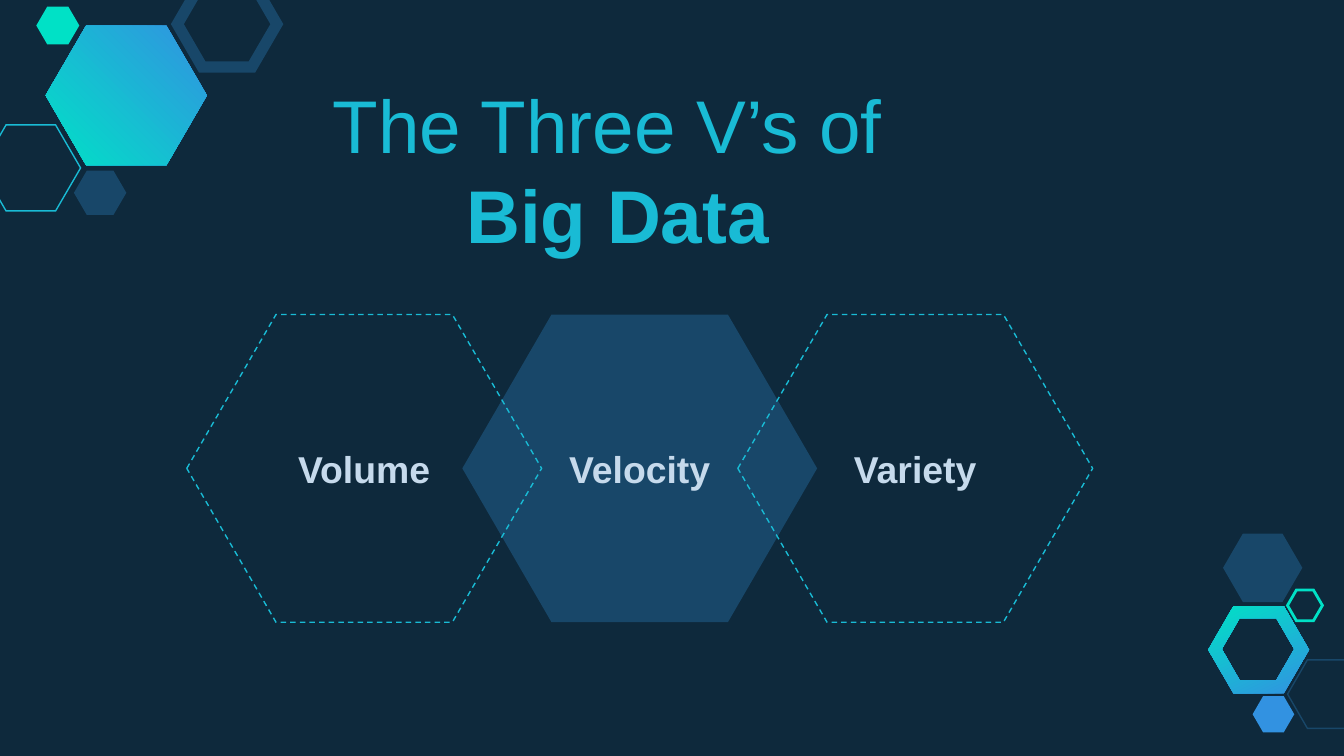
"""Build the slide on the three V's of big data."""
from lxml import etree
from pptx import Presentation
from pptx import util as u
from pptx.dml.color import RGBColor
from pptx.enum import dml, shapes, text
from pptx.oxml import ns

THEME = dict(
    night="0E293C", navy="184769", cyan="19BBD5", mint="00E1C6",
    blue="3292E1", pale="C6DAEC", font="Arial", title_size=40, label_size=20,
)
SLIDE_SIZE = (10, 10 * 9 / 16)
GRADIENT = ("blue", "mint")

TITLE = [("The Three V’s of ", False), ("Big Data", True)]
TITLE_BOX = (1.89, 0.54, 5.41, 1.48)
VS = ["Volume", "Velocity", "Variety"]
FILLED_V = "Velocity"
V_LEFT, V_TOP, V_WIDTH, V_HEIGHT, V_STEP = 1.39, 2.34, 2.64, 2.29, 2.05

RING_BOXES = [(8.99, 4.51, 0.75, 0.65), (9.09, 4.6, 0.54, 0.46)]
RING_ANGLE = 116
ORNAMENTS = [
    ((0.34, 0.19, 1.2, 1.04), dict(angle=225)),
    ((-0.14, 0.93, 0.74, 0.64), dict(line="cyan")),
    ((0.55, 1.27, 0.39, 0.33), dict(fill="navy")),
    ((1.32, -0.14, 0.74, 0.64), dict(line="navy", weight=6)),
    ((0.27, 0.05, 0.32, 0.28), dict(fill="mint")),
    ((9.58, 4.91, 0.59, 0.51), dict(line="navy")),
    ((9.32, 5.18, 0.31, 0.27), dict(fill="blue")),
    ((9.1, 3.97, 0.59, 0.51), dict(fill="navy")),
    ((9.58, 4.39, 0.26, 0.23), dict(line="mint", weight=1.5)),
]


def colour(key):
    """Return a theme colour."""
    return RGBColor.from_string(THEME[key])


def paint(shape, fill=None, line=None, weight=0.75, dash=None, angle=None):
    """Set the fill and the outline of a shape."""
    shape.shadow.inherit = False
    if angle is not None:
        shape.fill.gradient()
        shape.fill.gradient_angle = angle
        for stop, key in zip(shape.fill.gradient_stops, GRADIENT):
            stop.color.rgb = colour(key)
    elif fill:
        shape.fill.solid()
        shape.fill.fore_color.rgb = colour(fill)
    else:
        shape.fill.background()
    if line:
        shape.line.color.rgb = colour(line)
        shape.line.width = u.Pt(weight)
        if dash:
            shape.line.dash_style = dash
        outline = shape.element.spPr.find(ns.qn("a:ln"))
        etree.SubElement(outline, ns.qn("a:miter"), lim="800000")
    else:
        shape.line.fill.background()


def write(shape, runs, size, ink, anchor):
    """Write centred runs, one on each line."""
    frame = shape.text_frame
    frame.word_wrap = True
    frame.vertical_anchor = anchor
    for side in ("left", "top", "right", "bottom"):
        setattr(frame, f"margin_{side}", u.Inches(0.1))
    paragraph = frame.paragraphs[0]
    paragraph.alignment = text.PP_ALIGN.CENTER
    for index, (words, bold) in enumerate(runs):
        if index:
            paragraph.add_line_break()
        run = paragraph.add_run()
        run.text = words
        run.font.name = THEME["font"]
        run.font.size = u.Pt(THEME[size])
        run.font.bold = bold
        run.font.color.rgb = colour(ink)


def add_hexagon(slide, box, **style):
    """Add a flat-topped hexagon."""
    hexagon = slide.shapes.add_shape(shapes.MSO_SHAPE.HEXAGON, *map(u.Inches, box))
    hexagon.adjustments[0] = 0.29
    paint(hexagon, **style)
    return hexagon


def corners(box):
    """Return the six corners of a flat-topped hexagon."""
    left, top, width, height = box
    right, bottom, middle = left + width, top + height, top + height / 2
    inset = 0.29 * height
    points = [(left, middle), (left + inset, top), (right - inset, top),
              (right, middle), (right - inset, bottom), (left + inset, bottom)]
    return [(u.Inches(x), u.Inches(y)) for x, y in points]


def add_ring(slide):
    """Add the hexagonal ring with a gradient."""
    outer, inner = map(corners, RING_BOXES)
    inner.reverse()
    builder = slide.shapes.build_freeform(*outer[0])
    builder.add_line_segments(outer[1:], close=True)
    builder.move_to(*inner[0])
    builder.add_line_segments(inner[1:], close=True)
    paint(builder.convert_to_shape(), angle=RING_ANGLE)


def add_v(slide, name):
    """Add one of the V hexagons with its label."""
    box = (V_LEFT + VS.index(name) * V_STEP, V_TOP, V_WIDTH, V_HEIGHT)
    dashed = dict(line="cyan", dash=dml.MSO_LINE.DASH)
    style = dict(fill="navy") if name == FILLED_V else dashed
    write(add_hexagon(slide, box, **style), [(name, True)],
          size="label_size", ink="pale", anchor=text.MSO_ANCHOR.MIDDLE)


def main():
    """Build and save the slide."""
    deck = Presentation()
    deck.slide_width, deck.slide_height = map(u.Inches, SLIDE_SIZE)
    slide = deck.slides.add_slide(deck.slide_layouts[6])
    slide.background.fill.solid()
    slide.background.fill.fore_color.rgb = colour("night")
    add_ring(slide)
    for box, style in ORNAMENTS:
        add_hexagon(slide, box, **style)
    add_v(slide, FILLED_V)
    title = slide.shapes.add_textbox(*map(u.Inches, TITLE_BOX))
    write(title, TITLE, size="title_size", ink="cyan",
          anchor=text.MSO_ANCHOR.BOTTOM)
    for name in VS:
        if name != FILLED_V:
            add_v(slide, name)
    deck.save("out.pptx")


if __name__ == "__main__":
    main()
